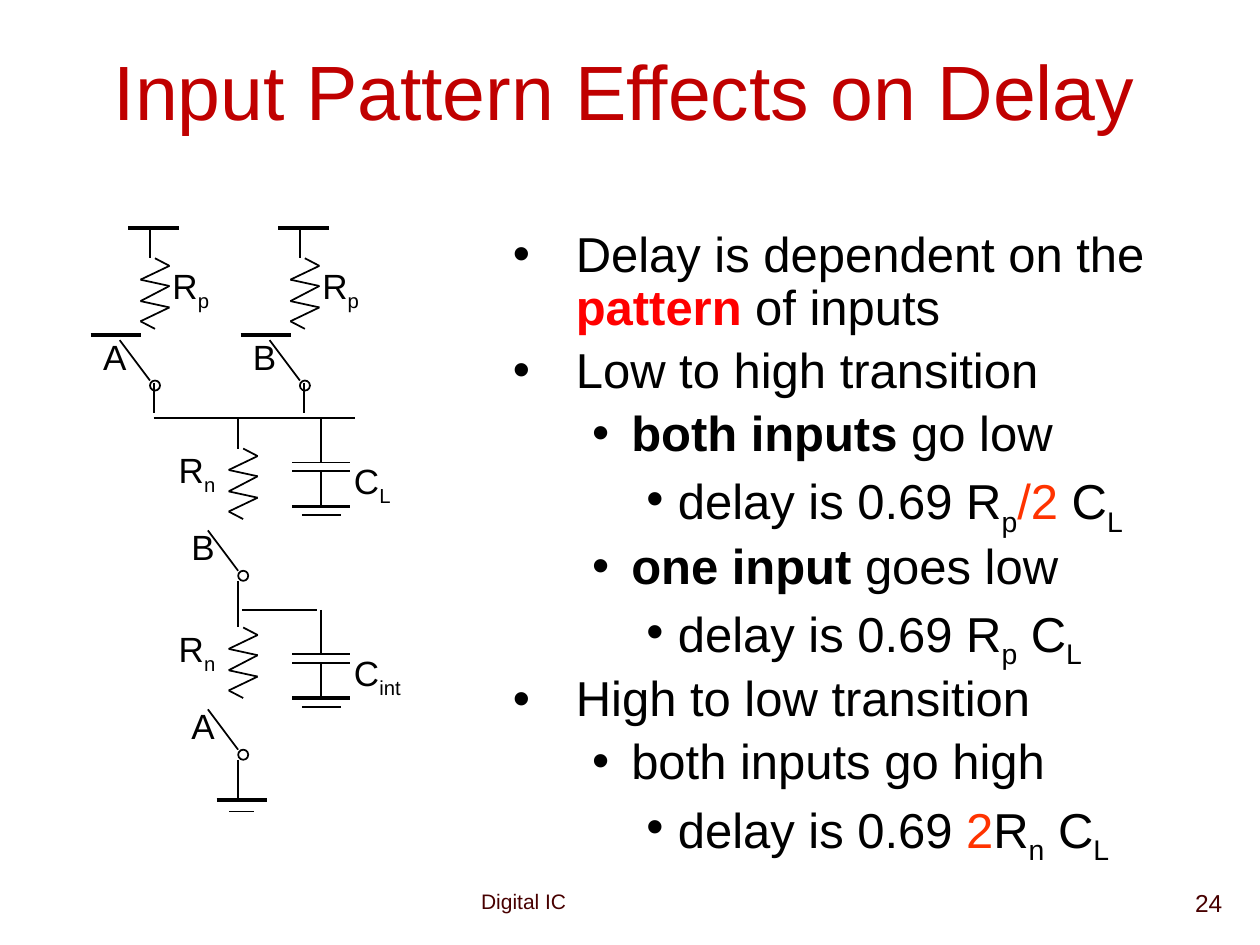
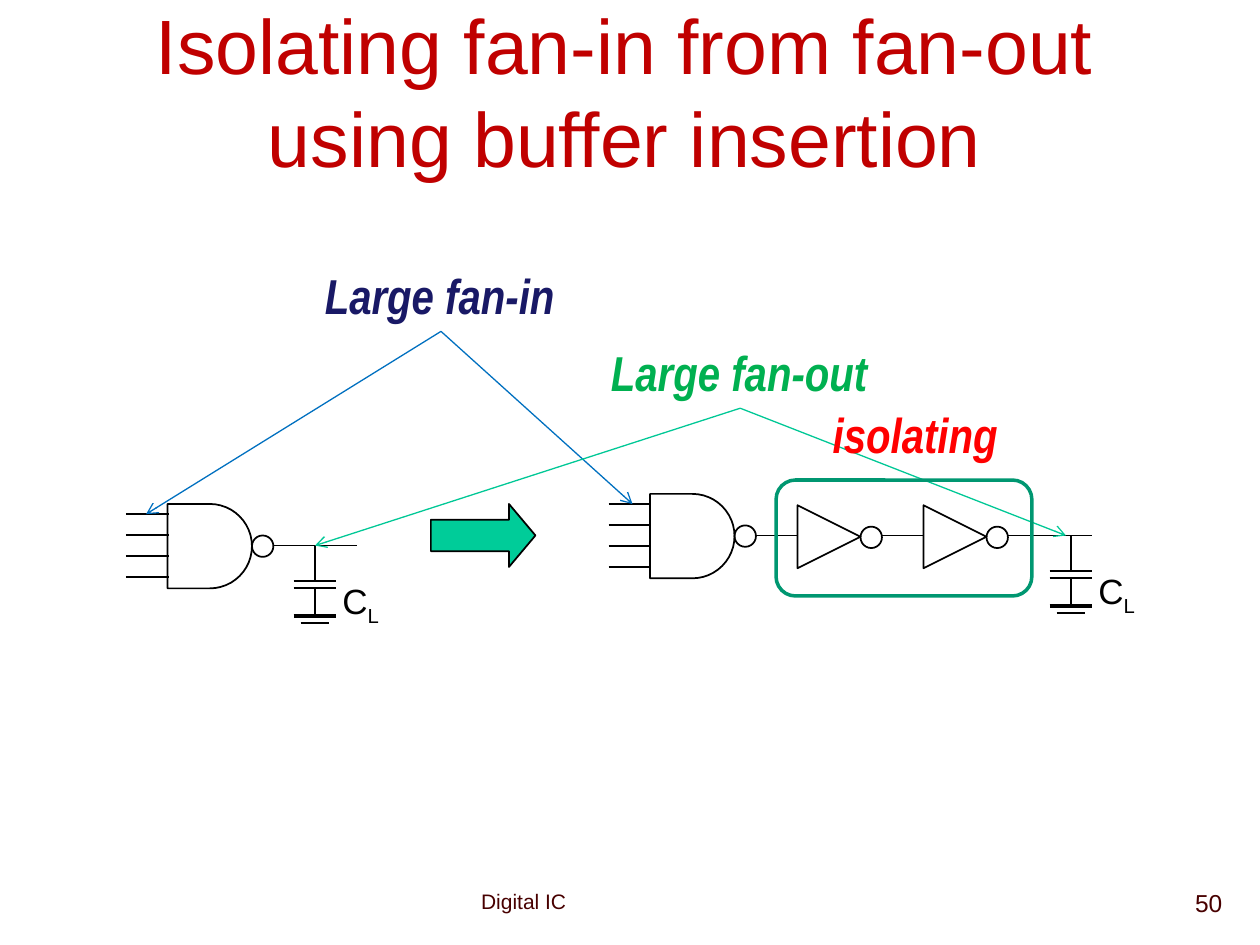
from itertools import pairwise

from lxml import etree
from pptx import Presentation
from pptx.dml.color import RGBColor
from pptx.enum import shapes, text
from pptx.oxml import ns
from pptx.util import Inches, Pt

BLACK, TITLE, FOOT = "000000", "C00000", "480000"
BLUE, TEAL = "0070C0", "00C896"
SUB = {"base": -25000}
BOLD = {"bold": True}
HOT = {"hue": "FF3300"}
KEY = {"hue": "FF0000", "bold": True}
INDENT = [(0.5, -0.5), (0.94, -0.31), (1.31, -0.25)]
KIND = shapes.MSO_SHAPE

POINTS = [
    (0, [("Delay is dependent on the ", {}), ("pattern", KEY), (" of inputs", {})]),
    (0, [("Low to high transition", {})]),
    (1, [("both inputs ", BOLD), ("go low", {})]),
    (2, [("delay is 0.69 R", {}), ("p", SUB), ("/2 ", HOT), ("C", {}), ("L", SUB)]),
    (1, [("one input ", BOLD), ("goes low", {})]),
    (2, [("delay is 0.69 R", {}), ("p", SUB), (" C", {}), ("L", SUB)]),
    (0, [("High to low transition", {})]),
    (1, [("both inputs go high", {})]),
    (2, [("delay is 0.69 ", {}), ("2", HOT), ("R", {}), ("n", SUB), (" C", {}), ("L", SUB)]),
]


def color(hue):
    """Turn a hex string into a colour."""
    return RGBColor.from_string(hue)


def place(item, left, top, width, height):
    """Move and size an item, in inches."""
    item.left, item.top = Inches(left), Inches(top)
    item.width, item.height = Inches(width), Inches(height)


def write(para, words, size, hue=BLACK, face="Arial", bold=False, base=0, slant=False):
    """Add one run to a paragraph."""
    run = para.add_run()
    run.text = words
    font = run.font
    font.name, font.size = face, Pt(size)
    font.bold, font.italic = bold, slant
    font.color.rgb = color(hue)
    if base:
        run._r.get_or_add_rPr().set("baseline", str(base))


def box(slide, left, top, width, height, wrap=True):
    """Add an empty text box."""
    item = slide.shapes.add_textbox(*map(Inches, (left, top, width, height)))
    item.text_frame.word_wrap = wrap
    return item


def label(slide, left, top, name, sub="", width=0.69):
    """Add a part name with an optional subscript."""
    item = box(slide, left, top, width, 0.54)
    item.text_frame.margin_right = 0
    para = item.text_frame.paragraphs[0]
    write(para, name, 20)
    if sub:
        write(para, sub, 20, **SUB)


def line(slide, start, end, width=1, hue=BLACK):
    """Draw a straight line between two points."""
    item = slide.shapes.add_connector(
        shapes.MSO_CONNECTOR.STRAIGHT, *map(Inches, (*start, *end)))
    item.line.width = Pt(width)
    item.line.color.rgb = color(hue)
    etree.SubElement(item._element.spPr, ns.qn("a:effectLst"))
    return item


def level(slide, x, y, half, width=1):
    """Draw a horizontal line centred on a point."""
    line(slide, (x - half, y), (x + half, y), width)


def drop(slide, x, top, end):
    """Draw a vertical line."""
    line(slide, (x, top), (x, end))


def shape(slide, kind, left, top, width, height, fill=None, hue=BLACK, weight=1):
    """Add an outlined preset shape."""
    item = slide.shapes.add_shape(kind, *map(Inches, (left, top, width, height)))
    item.shadow.inherit = False
    if fill:
        item.fill.solid()
        item.fill.fore_color.rgb = color(fill)
    else:
        item.fill.background()
    item.line.color.rgb = color(hue)
    item.line.width = Pt(weight)
    return item


def start(deck, layout, title, number):
    """Add a slide with its title, footer and number."""
    slide = deck.slides.add_slide(deck.slide_layouts[layout])
    head = slide.shapes.title
    place(head, 0.43, 0.34, 9.06, 0.75)
    frame = head.text_frame
    frame.auto_size = text.MSO_AUTO_SIZE.NONE
    frame.vertical_anchor = text.MSO_ANCHOR.MIDDLE
    frame.paragraphs[0].alignment = text.PP_ALIGN.CENTER
    write(frame.paragraphs[0], title, 44, TITLE)
    foot = box(slide, 3.72, 7, 2.42, 0.3)
    write(foot.text_frame.paragraphs[0], "Digital IC", 12, FOOT)
    para = box(slide, 7.72, 7, 2.08, 0.5).text_frame.paragraphs[0]
    para.alignment = text.PP_ALIGN.RIGHT
    write(para, number, 14, FOOT)
    return slide


def bullets(body, points):
    """Fill the body with a three-level list."""
    place(body, 3.97, 1.78, 5.56, 4.96)
    frame = body.text_frame
    frame.auto_size = text.MSO_AUTO_SIZE.NONE
    for i, (depth, runs) in enumerate(points):
        para = frame.add_paragraph() if i else frame.paragraphs[0]
        para.level = depth
        para.line_spacing = 0.9
        para.space_before = Pt(5.6)
        left, hang = INDENT[depth]
        props = para._p.get_or_add_pPr()
        props.set("marL", str(Inches(left)))
        props.set("indent", str(Inches(hang)))
        etree.SubElement(props, ns.qn("a:buChar")).set("char", "•")
        for words, style in runs:
            write(para, words, 28, **style)


def cap(slide, x, y, sub, half, step):
    """Draw a grounded capacitor hanging from a point."""
    drop(slide, x, y, y + 5 * step)
    for n in (5, 6):
        level(slide, x, y + n * step, half)
    drop(slide, x, y + 6 * step, y + 10 * step)
    level(slide, x, y + 10 * step, half, 2.25)
    level(slide, x, y + 11 * step, half * 2 / 3)
    label(slide, x + 0.7 * half, y + 4 * step, "C", sub)


def branch(slide, x, y, gate):
    """Draw a resistor in series with an open switch."""
    drop(slide, x, y - 0.24, y)
    mid = x + 0.04
    side = [0, 1, -1, 1, -1, 1, -1, 0]
    rise = [0, 0.06, 0.17, 0.22, 0.34, 0.39, 0.5, 0.56]
    zigzag = [(mid + 0.115 * s, y + r) for s, r in zip(side, rise)]
    for a, b in pairwise(zigzag):
        line(slide, a, b)
    line(slide, (x - 0.24, y + 0.65), (x, y + 0.97))
    shape(slide, KIND.OVAL, x, y + 0.97, 0.08, 0.08)
    label(slide, x - 0.47, y + 0.56, gate, width=0.36)


def pull(slide, x, gate):
    """Draw a pull-up branch from the supply."""
    y = 2.05
    level(slide, x + 0.03, y - 0.24, 0.2, 2.25)
    branch(slide, x, y, gate)
    level(slide, x - 0.27, y + 0.61, 0.2, 2.25)
    drop(slide, x + 0.03, y + 0.99, y + 1.23)
    label(slide, x + 0.08, y, "R", "p")


def sink(slide, x, y, gate):
    """Draw a pull-down branch."""
    branch(slide, x, y, gate)
    drop(slide, x, y + 1.05, y + 1.37)
    label(slide, x - 0.57, y - 0.05, "R", "n")


def nand(slide, x, y):
    """Draw a four-input NAND gate."""
    shape(slide, KIND.FLOWCHART_DELAY, x + 0.33, y - 0.33, 0.67, 0.67)
    shape(slide, KIND.OVAL, x + 1, y - 0.08, 0.17, 0.17)
    for n in range(4):
        level(slide, x + 0.17, y - 0.25 + n / 6, 0.17)


def buffer(slide, x, y):
    """Draw an inverter."""
    tip = shape(slide, KIND.FLOWCHART_MERGE, x, y - 0.25, 0.5, 0.5)
    tip.rotation = 270
    shape(slide, KIND.OVAL, x + 0.5, y - 0.08, 0.17, 0.17)


def note(slide, left, top, width, words, hue):
    """Add a slanted callout."""
    item = box(slide, left, top, width, 0.57, wrap=False)
    write(item.text_frame.paragraphs[0], words, 28, hue, "Arial Narrow", True, slant=True)
    return item


def point(slide, source, spots, hue):
    """Draw arrows from the foot of a callout to some spots."""
    foot = (0, 0)
    for spot in spots:
        item = line(slide, foot, spot, 0.75, hue)
        item.begin_connect(source, 2)
        tail = etree.SubElement(item.line._get_or_add_ln(), ns.qn("a:tailEnd"))
        tail.set("type", "arrow")


def delay(deck):
    """Build the slide on input patterns."""
    slide = start(deck, 1, "Input Pattern Effects on Delay", "24")
    bullets(slide.placeholders[1], POINTS)
    pull(slide, 1.19, "A")
    pull(slide, 2.38, "B")
    line(slide, (1.22, 3.32), (2.82, 3.32))
    sink(slide, 1.89, 3.56, "B")
    sink(slide, 1.89, 4.98, "A")
    line(slide, (1.92, 4.84), (2.52, 4.84))
    level(slide, 1.92, 6.35, 0.2, 2.25)
    level(slide, 1.92, 6.44, 0.1)
    cap(slide, 2.55, 3.32, "L", 0.23, 0.07)
    cap(slide, 2.55, 4.84, "int", 0.23, 0.07)


def isolate(deck):
    """Build the slide on buffer insertion."""
    slide = start(deck, 5, "Isolating fan-in from fan-out using buffer insertion", "50")
    nand(slide, 1, 4.33)
    line(slide, (2.17, 4.33), (2.83, 4.33))
    cap(slide, 2.5, 4.33, "L", 0.17, 0.056)
    nand(slide, 4.83, 4.25)
    for left, right in ((6, 6.33), (7, 7.33), (8, 8.67)):
        line(slide, (left, 4.25), (right, 4.25))
    for x in (6.33, 7.33):
        buffer(slide, x, 4.26)
    cap(slide, 8.5, 4.25, "L", 0.17, 0.056)
    arrow = shape(slide, KIND.RIGHT_ARROW, 3.42, 4, 0.83, 0.5, "00CC99")
    arrow.adjustments[1] = 0.42
    inward = note(slide, 2.48, 2.06, 2.04, "Large fan-in", "191966")
    outward = note(slide, 4.75, 2.67, 2.25, "Large fan-out", "00B050")
    point(slide, inward, [(1.16, 4.08), (5.02, 4)], BLUE)
    point(slide, outward, [(2.5, 4.33), (8.46, 4.25)], TEAL)
    shape(slide, KIND.ROUNDED_RECTANGLE, 6.16, 3.81, 2.03, 0.92, hue="009771", weight=2)
    note(slide, 6.51, 3.16, 1.52, "isolating", "FF0000")


def main():
    """Build and save the deck."""
    deck = Presentation()
    deck.slide_width, deck.slide_height = Inches(10), Inches(7.5)
    delay(deck)
    isolate(deck)
    deck.save("out.pptx")


if __name__ == "__main__":
    main()
